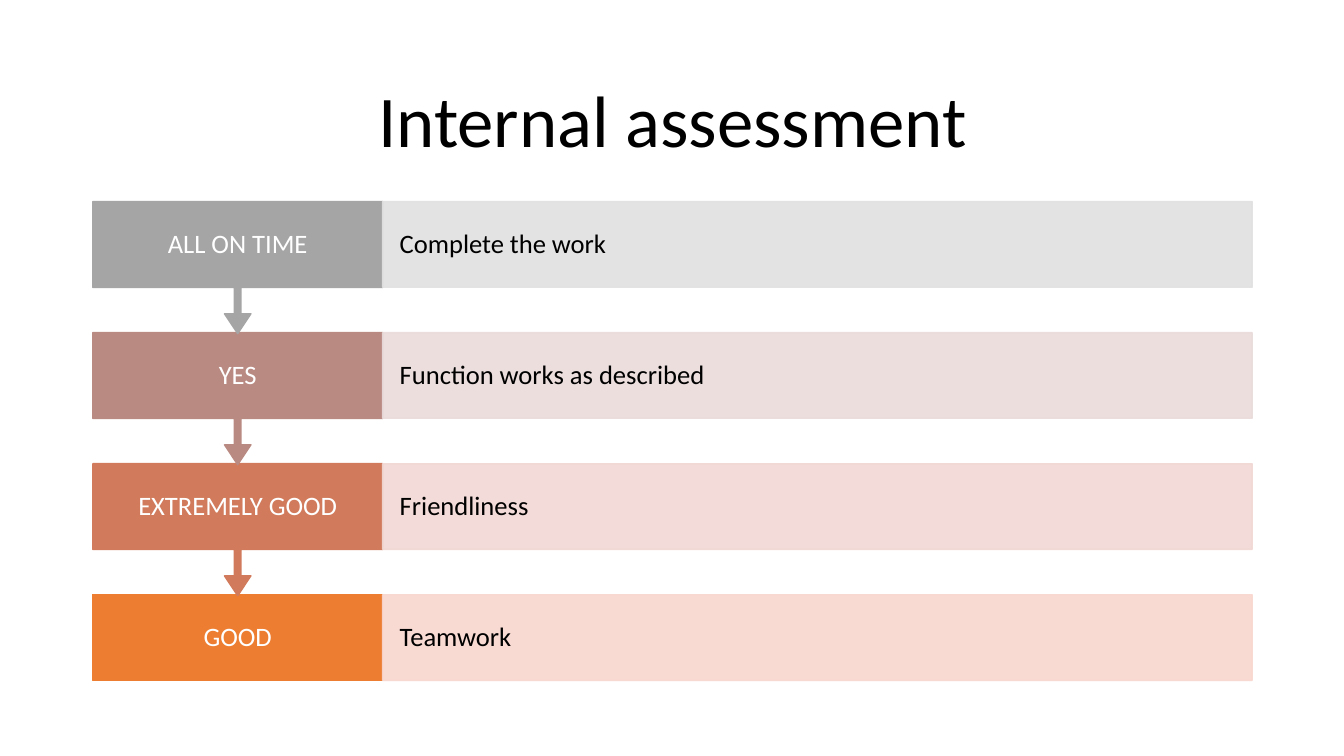
from pptx import Presentation
from pptx.dml.color import RGBColor
from pptx.enum.shapes import MSO_SHAPE
from pptx.enum.text import MSO_ANCHOR, PP_ALIGN
from pptx.oxml.ns import qn
from pptx.util import Inches, Pt
from lxml.etree import SubElement

BLACK = RGBColor(0x00, 0x00, 0x00)
WHITE = RGBColor(0xFF, 0xFF, 0xFF)
GREY, PALE_GREY = RGBColor(0xA5, 0xA5, 0xA5), RGBColor(0xE1, 0xE1, 0xE1)
MAUVE, PALE_MAUVE = RGBColor(0xB9, 0x8A, 0x82), RGBColor(0xE9, 0xDB, 0xDA)
TERRACOTTA, PALE_TERRACOTTA = RGBColor(0xD1, 0x7B, 0x5C), RGBColor(0xF1, 0xD8, 0xD4)
ORANGE, PALE_ORANGE = RGBColor(0xED, 0x7D, 0x31), RGBColor(0xF8, 0xD7, 0xCE)

# Grid in inches: a rating column beside a criterion column
LEFT, TOP, WIDTH = 0.92, 2.0, 11.5
RATING_WIDTH = WIDTH / 4
CRITERION_WIDTH = WIDTH - RATING_WIDTH
ROW_PITCH, BAR_HEIGHT, CALLOUT_HEIGHT = 1.3, 0.85, 1.31
CALLOUT_SHARES = (0.05, 0.1, 0.15, 0.65)  # shaft, half head, head length, box

ASSESSMENT = [
    ("ALL ON TIME", "Complete the work", GREY, PALE_GREY),
    ("YES", "Function works as described", MAUVE, PALE_MAUVE),
    ("EXTREMELY GOOD", "Friendliness", TERRACOTTA, PALE_TERRACOTTA),
    ("GOOD", "Teamwork", ORANGE, PALE_ORANGE),
]


def write(box, text, size, color, align, inset):
    """Put one vertically centred paragraph into a box."""
    frame = box.text_frame
    frame.word_wrap = True
    frame.vertical_anchor = MSO_ANCHOR.MIDDLE
    frame.margin_left = frame.margin_right = Inches(inset)
    frame.margin_top = frame.margin_bottom = Inches(0.05)
    para = frame.paragraphs[0]
    para.text = text
    para.alignment = align
    para.line_spacing = 0.9
    para.font.name = "Calibri"
    para.font.size = Pt(size)
    para.font.color.rgb = color


def add_bar(page, kind, left, top, width, height, color):
    """Add a shape whose fill and outline share one colour."""
    bar = page.shapes.add_shape(
        kind, Inches(left), Inches(top), Inches(width), Inches(height))
    bar.shadow.inherit = False
    bar.fill.solid()
    bar.fill.fore_color.rgb = color
    bar.line.color.rgb = color
    bar.line.width = Pt(1)
    return bar


deck = Presentation()
deck.slide_width, deck.slide_height = Inches(13.33), Inches(7.5)
page = deck.slides.add_slide(deck.slide_layouts[6])

title = page.shapes.add_textbox(Inches(LEFT), Inches(0.61), Inches(WIDTH), Inches(1.24))
write(title, "Internal assessment", 52, BLACK, PP_ALIGN.CENTER, 0.1)

# Lower rows first, so that each arrow tip lies over the row below it
last = len(ASSESSMENT) - 1
for row in range(last, -1, -1):
    rating, criterion, strong, pale = ASSESSMENT[row]
    top = TOP + row * ROW_PITCH
    if row == last:
        rating_box = add_bar(page, MSO_SHAPE.RECTANGLE,
                             LEFT, top, RATING_WIDTH, BAR_HEIGHT, strong)
    else:
        rating_box = add_bar(page, MSO_SHAPE.DOWN_ARROW_CALLOUT,
                             LEFT, top, RATING_WIDTH, CALLOUT_HEIGHT, strong)
        for index, share in enumerate(CALLOUT_SHARES):
            rating_box.adjustments[index] = share
    write(rating_box, rating, 19, WHITE, PP_ALIGN.CENTER, 0.2)

    criterion_box = add_bar(page, MSO_SHAPE.RECTANGLE, LEFT + RATING_WIDTH, top,
                            CRITERION_WIDTH, BAR_HEIGHT, pale)
    for tint in criterion_box._element.spPr.iter(qn("a:srgbClr")):
        SubElement(tint, qn("a:alpha"), val="90000")
    write(criterion_box, criterion, 19, BLACK, PP_ALIGN.LEFT, 0.17)

deck.save("out.pptx")
